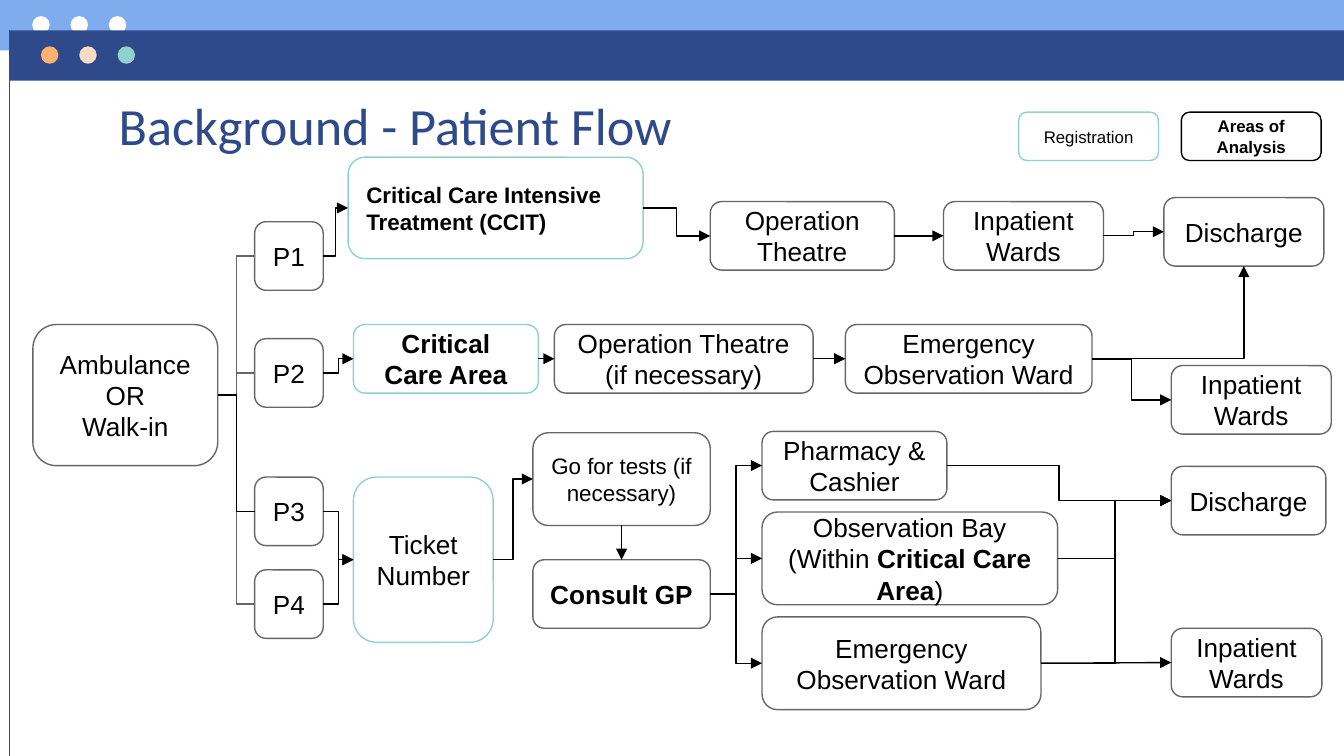
from pptx import Presentation
from pptx.dml.color import RGBColor
from pptx.enum.shapes import MSO_CONNECTOR, MSO_SHAPE
from pptx.enum.text import MSO_ANCHOR, PP_ALIGN
from pptx.oxml.ns import qn
from pptx.util import Pt
from lxml.etree import SubElement
from dataclasses import dataclass

PX = 4572
WIDTH, HEIGHT = 2000, 1125


@dataclass(frozen=True)
class Theme:
    sky: str = "7EACEC"
    navy: str = "2F4A8A"
    orange: str = "FFB172"
    peach: str = "F8DBC4"
    mint: str = "90D1CB"
    grey: str = "666666"
    black: str = "000000"
    white: str = "FFFFFF"
    title: int = 28
    body: int = 14
    small: int = 12
    legend: int = 9
    line: float = 0.75
    body_font: str = "Arial"
    title_font: str = "Calibri"


THEME = Theme()
TOP, LEFT, BOTTOM, RIGHT = range(4)

BANNERS = [
    (0, 0, THEME.sky, 48, 24, (THEME.white, THEME.white, THEME.white)),
    (14, 45, THEME.navy, 61, 69, (THEME.orange, THEME.peach, THEME.mint)),
]
BANNER_HEIGHT, DOT_SIZE, DOT_STEP = 75, 26, 57

REGISTRATION = {"line": THEME.mint}
BOXES = {
    "arrival": ("Ambulance\nOR\nWalk-in", (49, 483, 275, 210), {}),
    "P1": ("P1", (379, 330, 102, 102), {}),
    "P2": ("P2", (379, 504, 102, 102), {}),
    "P3": ("P3", (379, 710, 102, 102), {}),
    "P4": ("P4", (379, 848, 102, 102), {}),
    "intensive": ("**Critical Care Intensive Treatment (CCIT)**", (518, 234, 439, 151),
                  {**REGISTRATION, "size": THEME.small, "align": PP_ALIGN.LEFT}),
    "critical": ("**Critical Care Area**", (526, 483, 275, 102), REGISTRATION),
    "ticket": ("Ticket Number", (526, 710, 208, 246), REGISTRATION),
    "theatre": ("Operation Theatre", (1057, 300, 274, 102), {}),
    "optional theatre": ("Operation Theatre (if necessary)", (825, 483, 385, 102), {}),
    "tests": ("Go for tests (if necessary)", (793, 644, 264, 138), {"size": THEME.small}),
    "consult": ("**Consult GP**", (793, 833, 264, 102), {}),
    "pharmacy": ("Pharmacy & Cashier", (1134, 642, 275, 102), {}),
    "bay": ("Observation Bay\n(Within **Critical Care Area**)", (1134, 762, 440, 138), {}),
    "ward": ("Emergency Observation Ward", (1134, 918, 415, 138), {}),
    "middle ward": ("Emergency Observation Ward", (1258, 483, 367, 102), {}),
    "top inpatient": ("Inpatient Wards", (1404, 300, 238, 102), {}),
    "middle inpatient": ("Inpatient Wards", (1743, 544, 238, 102), {}),
    "inpatient": ("Inpatient Wards", (1743, 935, 224, 102), {}),
    "top discharge": ("Discharge", (1732, 294, 238, 102), {}),
    "discharge": ("Discharge", (1743, 694, 230, 102), {}),
    "registration key": ("Registration", (1516, 167, 208, 72),
                         {**REGISTRATION, "size": THEME.legend}),
    "analysis key": ("**Areas of Analysis**", (1758, 167, 208, 72),
                     {"line": THEME.black, "size": THEME.legend}),
}

BRANCH = {"color": THEME.grey, "arrow": False}
FLOWS = [
    ("arrival", "P1", BRANCH),
    ("arrival", "P2", BRANCH),
    ("arrival", "P4", BRANCH),
    ("arrival", "P3", {"arrow": False}),
    ("P1", "intensive", {}),
    ("P2", "critical", {}),
    ("P3", "ticket", {}),
    ("P4", "ticket", {}),
    ("ticket", "tests", {}),
    ("tests", "consult", {"sites": (BOTTOM, TOP)}),
    ("critical", "optional theatre", {}),
    ("optional theatre", "middle ward", {}),
    ("intensive", "theatre", {}),
    ("theatre", "top inpatient", {}),
    ("top inpatient", "top discharge", {}),
    ("middle ward", "top discharge", {"sites": (RIGHT, BOTTOM)}),
    ("middle ward", "middle inpatient", {}),
    ("consult", "pharmacy", {}),
    ("consult", "bay", {}),
    ("consult", "ward", {}),
    ("pharmacy", "discharge", {}),
    ("bay", "discharge", {}),
    ("ward", "discharge", {"bend": 56800}),
    ("ward", "inpatient", {}),
]


def scaled(*lengths):
    return [length * PX for length in lengths]


def write_text(shape, text, size=THEME.body, font=THEME.body_font, color=THEME.black,
               align=PP_ALIGN.CENTER, anchor=MSO_ANCHOR.MIDDLE):
    frame = shape.text_frame
    frame.word_wrap = True
    frame.vertical_anchor = anchor
    frame.margin_left = frame.margin_right = frame.margin_top = frame.margin_bottom = 20 * PX
    for index, line in enumerate(text.split("\n")):
        paragraph = frame.add_paragraph() if index else frame.paragraphs[0]
        paragraph.alignment = align
        for position, piece in enumerate(line.split("**")):
            if piece:
                run = paragraph.add_run()
                run.text = piece
                run.font.size = Pt(size)
                run.font.name = font
                run.font.bold = position % 2 == 1
                run.font.color.rgb = RGBColor.from_string(color)


def add_solid(slide, kind, bounds, color):
    shape = slide.shapes.add_shape(kind, *scaled(*bounds))
    shape.shadow.inherit = False
    shape.fill.solid()
    shape.fill.fore_color.rgb = RGBColor.from_string(color)
    shape.line.fill.background()


def add_box(slide, text, bounds, line=THEME.grey, **text_format):
    shape = slide.shapes.add_shape(MSO_SHAPE.ROUNDED_RECTANGLE, *scaled(*bounds))
    shape.shadow.inherit = False
    shape.fill.background()
    shape.line.color.rgb = RGBColor.from_string(line)
    shape.line.width = Pt(THEME.line)
    write_text(shape, text, **text_format)
    return shape


def add_line(slide, kind, points, color, arrow=False):
    connector = slide.shapes.add_connector(kind, *points)
    connector.line.color.rgb = RGBColor.from_string(color)
    connector.line.width = Pt(THEME.line)
    properties = connector._element.spPr
    if arrow:
        SubElement(properties.find(qn("a:ln")), qn("a:tailEnd"), type="triangle")
    SubElement(properties, qn("a:effectLst"))
    return connector


def site_point(shape, site):
    across = {LEFT: 0, RIGHT: shape.width}.get(site, shape.width // 2)
    down = {TOP: 0, BOTTOM: shape.height}.get(site, shape.height // 2)
    return shape.left + across, shape.top + down


def add_flow(slide, source, target, sites=(RIGHT, LEFT), color=THEME.black, arrow=True, bend=None):
    start, end = site_point(source, sites[0]), site_point(target, sites[1])
    straight = any(abs(a - b) < 2 * PX for a, b in zip(start, end))
    kind = MSO_CONNECTOR.STRAIGHT if straight else MSO_CONNECTOR.ELBOW
    connector = add_line(slide, kind, (*start, *end), color, arrow)
    connector.begin_connect(source, sites[0])
    connector.end_connect(target, sites[1])
    geometry = connector._element.spPr.find(qn("a:prstGeom"))
    if sites == (RIGHT, BOTTOM):
        geometry.set("prst", "bentConnector2")
    if bend:
        SubElement(geometry.find(qn("a:avLst")), qn("a:gd"), name="adj1", fmla=f"val {bend}")


def main():
    presentation = Presentation()
    presentation.slide_width, presentation.slide_height = scaled(WIDTH, HEIGHT)
    slide = presentation.slides.add_slide(presentation.slide_layouts[6])

    for left, top, color, dot_left, dot_top, dots in BANNERS:
        add_solid(slide, MSO_SHAPE.RECTANGLE, (left, top, WIDTH - left, BANNER_HEIGHT), color)
        for index, dot in enumerate(dots):
            bounds = (dot_left + index * DOT_STEP, dot_top, DOT_SIZE, DOT_SIZE)
            add_solid(slide, MSO_SHAPE.OVAL, bounds, dot)
    add_line(slide, MSO_CONNECTOR.STRAIGHT, scaled(14, 44, 14, HEIGHT), THEME.navy)

    title = slide.shapes.add_textbox(*scaled(157, 119, 1688, 102))
    write_text(title, "Background - Patient Flow", size=THEME.title, font=THEME.title_font,
               color=THEME.navy, align=PP_ALIGN.LEFT, anchor=MSO_ANCHOR.TOP)

    boxes = {name: add_box(slide, text, bounds, **style)
             for name, (text, bounds, style) in BOXES.items()}
    for source, target, style in FLOWS:
        add_flow(slide, boxes[source], boxes[target], **style)

    presentation.save("out.pptx")


if __name__ == "__main__":
    main()
